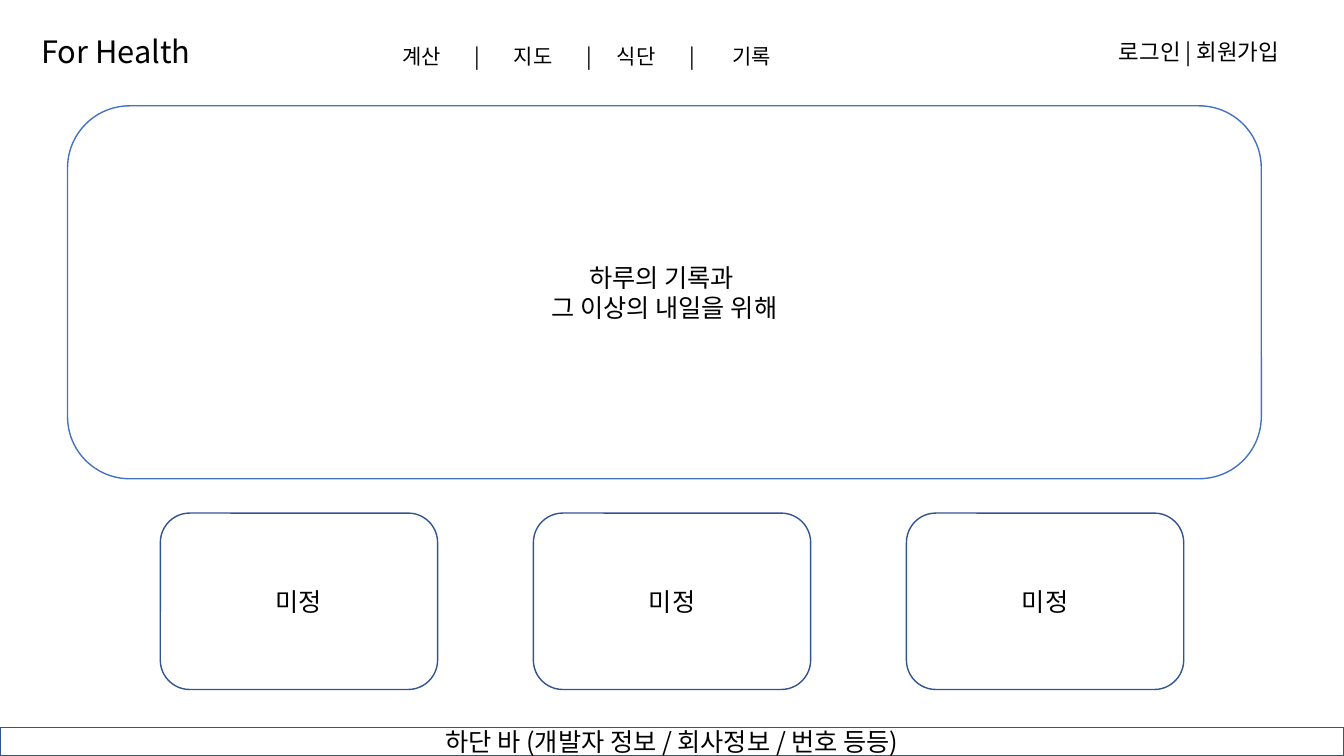
from lxml.etree import SubElement
from pptx import Presentation
from pptx.dml.color import RGBColor
from pptx.enum.shapes import MSO_SHAPE
from pptx.enum.text import MSO_ANCHOR, MSO_AUTO_SIZE, PP_ALIGN
from pptx.oxml.ns import qn
from pptx.util import Inches, Pt


def color(hex_code):
    return RGBColor.from_string(hex_code)


class Wireframe:
    font = "Noto Sans CJK KR"
    ink = "000000"
    outline = "325491"

    def __init__(self, slide):
        self.slide = slide

    def set_text(self, frame, text, size, align, anchor):
        frame.text = text
        frame.word_wrap = True
        frame.auto_size = MSO_AUTO_SIZE.NONE
        frame.vertical_anchor = anchor
        for paragraph in frame.paragraphs:
            paragraph.alignment = align
            for run in paragraph.runs:
                run.font.size = Pt(size)
                run.font.name = self.font
                run.font.color.rgb = color(self.ink)
                # Korean glyphs take the East Asian typeface
                SubElement(run.font._element, qn("a:ea"), typeface=self.font)

    def title(self, text, left, top, width, height, size):
        heading = self.slide.shapes.title
        heading.left, heading.top = Inches(left), Inches(top)
        heading.width, heading.height = Inches(width), Inches(height)
        self.set_text(heading.text_frame, text, size, PP_ALIGN.LEFT, MSO_ANCHOR.TOP)

    def label(self, text, left, top, width, height, size):
        box = self.slide.shapes.add_textbox(
            Inches(left), Inches(top), Inches(width), Inches(height))
        self.set_text(box.text_frame, text, size, PP_ALIGN.LEFT, MSO_ANCHOR.TOP)
        return box

    def menu(self, items, stops, left, top, width, height, size):
        """Sets the items and their dividers on centred tab stops."""
        bar = self.label("\t|\t".join(items), left, top, width, height, size)
        properties = bar.text_frame.paragraphs[0]._p.get_or_add_pPr()
        tabs = SubElement(properties, qn("a:tabLst"))
        for stop in stops:
            SubElement(tabs, qn("a:tab"), pos=str(Inches(stop)), algn="ctr")

    def panel(self, text, left, top, width, height,
              outline=outline, kind=MSO_SHAPE.ROUNDED_RECTANGLE):
        panel = self.slide.shapes.add_shape(
            kind, Inches(left), Inches(top), Inches(width), Inches(height))
        panel.shadow.inherit = False
        panel.fill.background()
        panel.line.color.rgb = color(outline)
        panel.line.width = Pt(1)
        self.set_text(panel.text_frame, text, 18, PP_ALIGN.CENTER, MSO_ANCHOR.MIDDLE)


def main():
    presentation = Presentation()
    presentation.slide_width = Inches(13.33)
    presentation.slide_height = Inches(7.5)
    page = Wireframe(presentation.slides.add_slide(presentation.slide_layouts[5]))

    page.title("For Health", 0.31, 0.27, 2.83, 0.47, 22)
    page.menu(["계산", "지도", "식단", "기록"],
              [0.75, 1.3, 1.86, 2.32, 2.88, 3.47], 3.89, 0.38, 6.35, 0.35, 15)
    page.label("로그인 | 회원가입", 11, 0.33, 2.83, 0.37, 16)

    page.panel("하루의 기록과 \n그 이상의 내일을 위해", 0.67, 1.05, 11.84, 3.7,
               outline="4472C4")
    for column in range(3):
        page.panel("미정", 1.59 + 3.7 * column, 5.09, 2.75, 1.75)
    page.panel("하단 바 (개발자 정보 / 회사정보 / 번호 등등)", 0, 7.22, 13.33, 0.28,
               kind=MSO_SHAPE.RECTANGLE)

    presentation.save("out.pptx")


if __name__ == "__main__":
    main()
